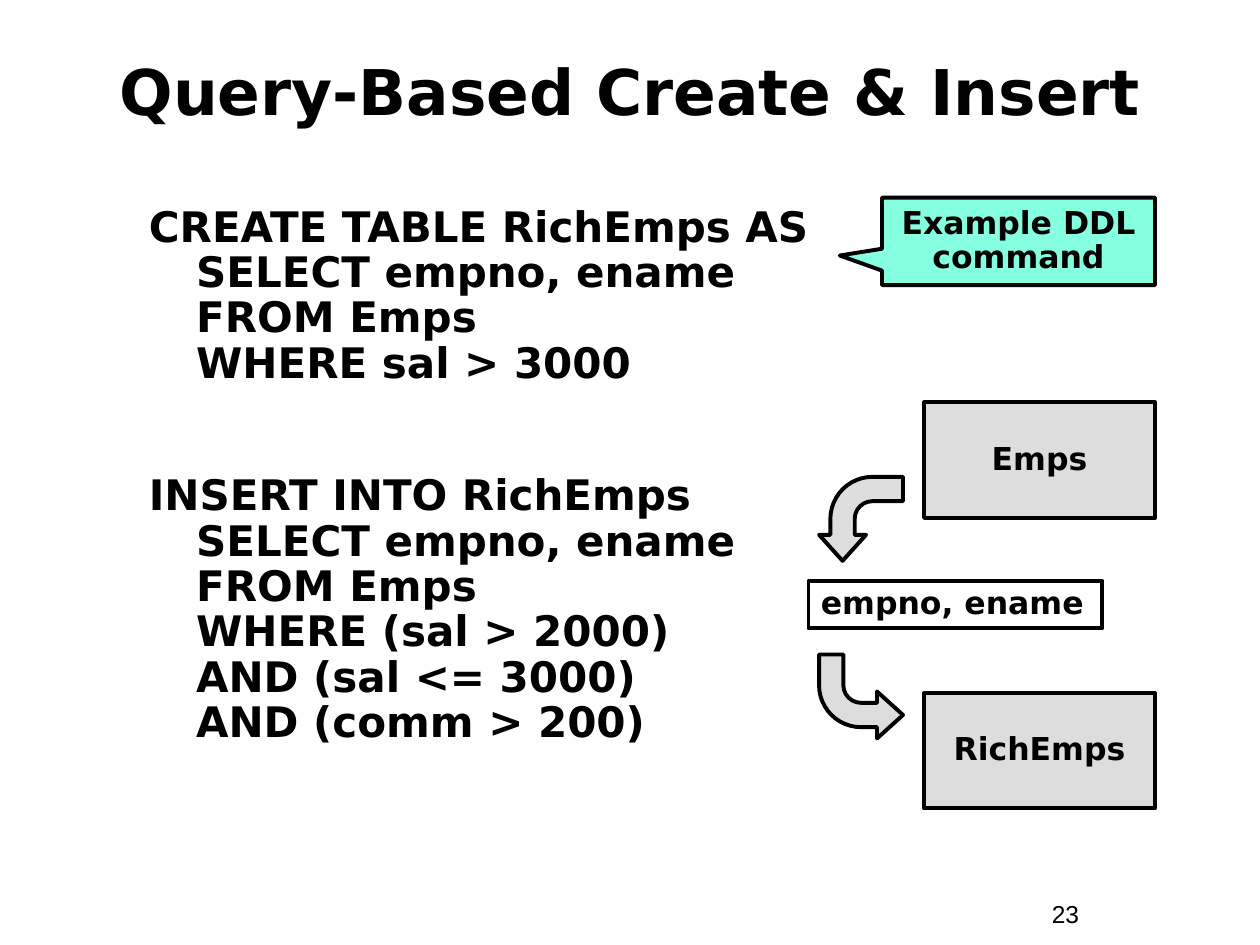
from pptx import Presentation
from pptx.dml.color import RGBColor
from pptx.enum.shapes import MSO_SHAPE
from pptx.enum.text import MSO_ANCHOR, PP_ALIGN
from pptx.util import Pt

BLACK = RGBColor(0x00, 0x00, 0x00)
GREY = RGBColor(0xDD, 0xDD, 0xDD)
MINT = RGBColor(0x85, 0xFF, 0xDF)
RECT, CALLOUT = MSO_SHAPE.RECTANGLE, MSO_SHAPE.RECTANGULAR_CALLOUT
BENT_ARROW = MSO_SHAPE.BENT_ARROW
LEFT, CENTER = PP_ALIGN.LEFT, PP_ALIGN.CENTER
TOP, MIDDLE = MSO_ANCHOR.TOP, MSO_ANCHOR.MIDDLE

CREATE = ["CREATE TABLE RichEmps AS", "SELECT empno, ename", "FROM Emps",
          "WHERE sal > 3000"]
INSERT = ["INSERT INTO RichEmps", "SELECT empno, ename", "FROM Emps",
          "WHERE (sal > 2000)", "AND (sal <= 3000)", "AND (comm > 200)"]


def set_font(p, size, name="DejaVu Sans", bold=True):
    p.font.size = Pt(size)
    p.font.name = name
    p.font.bold = bold
    p.font.color.rgb = BLACK


def add_text(s, x, y, w, h, anchor=TOP):
    tf = s.shapes.add_textbox(Pt(x), Pt(y), Pt(w), Pt(h)).text_frame
    tf.word_wrap = True
    tf.vertical_anchor = anchor
    return tf


def add_outlined(s, kind, x, y, w, h, fill=None):
    sp = s.shapes.add_shape(kind, Pt(x), Pt(y), Pt(w), Pt(h))
    sp.shadow.inherit = False
    if fill is None:
        sp.fill.background()
    else:
        sp.fill.solid()
        sp.fill.fore_color.rgb = fill
    sp.line.color.rgb = BLACK
    sp.line.width = Pt(2.25)
    return sp


def add_label(s, kind, x, y, w, h, text, fill=None, align=CENTER,
              anchor=MIDDLE, wrap=True):
    sp = add_outlined(s, kind, x, y, w, h, fill)
    tf = sp.text_frame
    tf.word_wrap = wrap
    tf.vertical_anchor = anchor
    p = tf.paragraphs[0]
    p.text = text
    p.alignment = align
    p.line_spacing = 0.9
    set_font(p, 18)
    return sp


def add_bent_arrow(s, x, y, size, rotation):
    """Mirrored bent arrow: 270 turns it downwards, 180 to the right."""
    sp = add_outlined(s, BENT_ARROW, x, y, size, size, GREY)
    for i, value in enumerate((0.29, 0.28, 0.31, 0.5)):
        sp.adjustments[i] = value
    sp.rotation = rotation
    sp._element.spPr.xfrm.set("flipH", "1")


def add_title(s, x, y, w, h):
    p = add_text(s, x, y, w, h, MIDDLE).paragraphs[0]
    p.text = "Query-Based Create & Insert"
    p.alignment = CENTER
    set_font(p, 36)


def add_statements(s, x, y, w, h):
    """SQL statements, each with its clauses indented below the first line."""
    tf = add_text(s, x, y, w, h)
    for i, lines in enumerate((CREATE, INSERT)):
        p = tf.add_paragraph() if i else tf.paragraphs[0]
        p.text = "\v".join(lines)
        pPr = p._p.get_or_add_pPr()
        pPr.set("marL", str(Pt(27)))
        pPr.set("indent", str(Pt(-27)))
        p.line_spacing = 0.9
        if i:
            p.space_before = Pt(50)
        set_font(p, 24)


def add_callout(s, x, y, w, h):
    sp = add_label(s, CALLOUT, x, y, w, h, "Example DDL command", MINT)
    sp.adjustments[0] = -0.655
    sp.adjustments[1] = 0.161


def add_data_flow(s, x, y, w, h):
    """Source table at the top, copied columns midway, target at the bottom."""
    table_w, table_h, arrow = 132, 66, 48
    table_x = x + w - table_w
    for name, top in (("Emps", y), ("RichEmps", y + h - table_h)):
        add_label(s, RECT, table_x, top, table_w, table_h, name, GREY, wrap=False)
    add_label(s, RECT, x, y + 102, 168, 27, "empno, ename",
              align=LEFT, anchor=TOP)
    for top, rotation in ((y + 42.5, 270), (y + 144, 180)):
        add_bent_arrow(s, x + 6, top, arrow, rotation)


def add_page_number(s, x, y, w, h):
    p = add_text(s, x, y, w, h).paragraphs[0]
    p.text = "23"
    set_font(p, 14, "Arial", False)


def main():
    prs = Presentation()
    prs.slide_width, prs.slide_height = Pt(720), Pt(540)
    s = prs.slides.add_slide(prs.slide_layouts[6])
    add_page_number(s, 594, 510, 66, 24)
    add_title(s, 24, 24, 672, 55)
    add_statements(s, 78, 114, 570, 336)
    add_data_flow(s, 462, 230, 198, 232)
    add_callout(s, 504, 113, 156, 50)
    prs.save("out.pptx")


if __name__ == "__main__":
    main()
